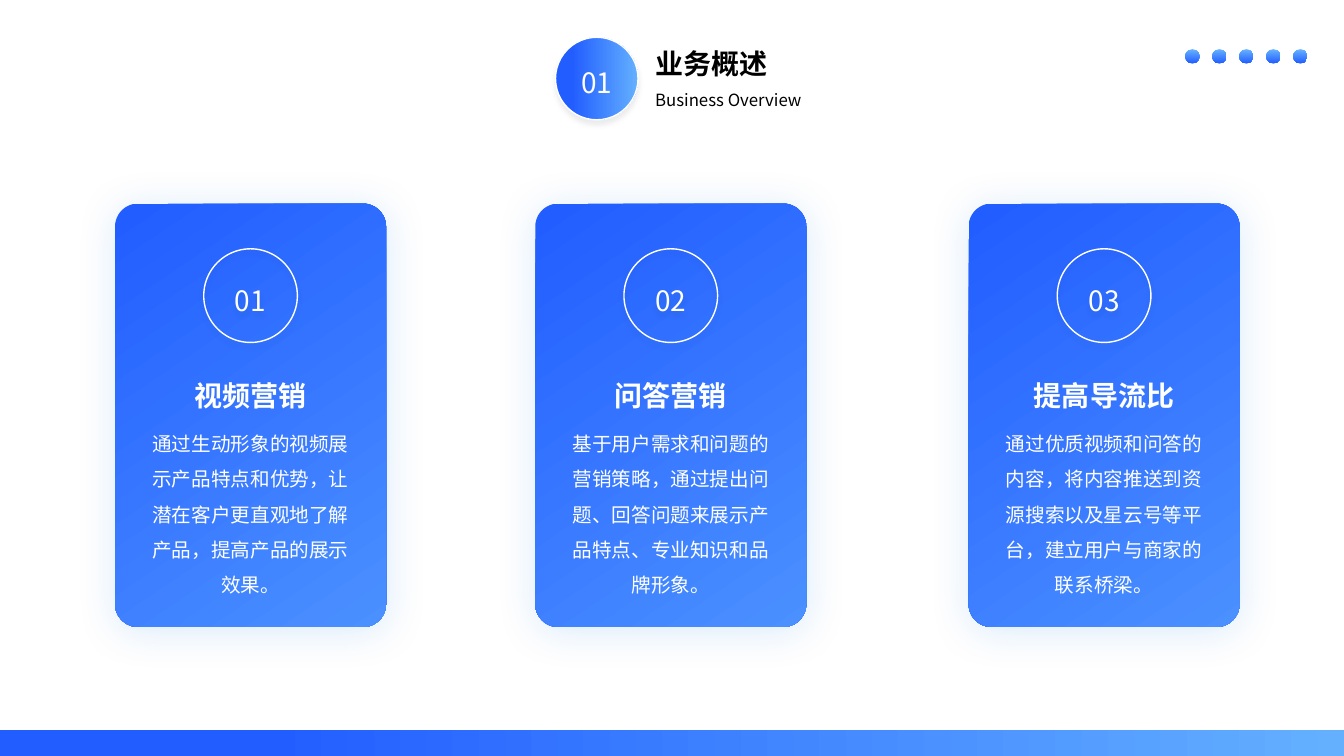
from lxml.etree import SubElement
from pptx import Presentation
from pptx.dml.color import RGBColor
from pptx.enum.shapes import MSO_SHAPE
from pptx.enum.text import MSO_ANCHOR, PP_ALIGN
from pptx.oxml.ns import qn
from pptx.util import Cm, Pt

ROYAL_BLUE = RGBColor(0x22, 0x5E, 0xFF)
SKY_BLUE = RGBColor(0x64, 0xB0, 0xFF)
CARD_BLUE = RGBColor(0x4B, 0x90, 0xFF)
DOT_BLUE = RGBColor(0x67, 0xB3, 0xFF)
GLOW_BLUE = RGBColor(0x00, 0x7C, 0xE2)
WHITE = RGBColor(0xFF, 0xFF, 0xFF)
BLACK = RGBColor(0x00, 0x00, 0x00)

TEXT_FONT = "Noto Sans CJK SC"
NUMBER_FONT = "Noto Sans CJK JP"

SLIDE_WIDTH = 33.87
SLIDE_HEIGHT = 19.05
CARD_WIDTH = 6.83
CARD_TEXT_WIDTH = 5.28
CARD_CIRCLE_SIZE = 2.36

CARDS = [
    (2.9, "01", "视频营销",
     "通过生动形象的视频展示产品特点和优势，让潜在客户更直观地了解产品，提高产品的展示效果。"),
    (13.49, "02", "问答营销",
     "基于用户需求和问题的营销策略，通过提出问题、回答问题来展示产品特点、专业知识和品牌形象。"),
    (24.41, "03", "提高导流比",
     "通过优质视频和问答的内容，将内容推送到资源搜索以及星云号等平台，建立用户与商家的联系桥梁。"),
]


def write_text(text_frame, text, size, color, font=TEXT_FONT, bold=False,
               align=PP_ALIGN.LEFT, spacing=1.0):
    text_frame.word_wrap = True
    paragraph = text_frame.paragraphs[0]
    paragraph.text = text
    paragraph.alignment = align
    paragraph.line_spacing = spacing
    paragraph.font.name = font
    paragraph.font.size = Pt(size)
    paragraph.font.bold = bold
    paragraph.font.color.rgb = color
    properties = paragraph._p.pPr.find(qn("a:defRPr"))
    SubElement(properties, qn("a:ea"), typeface=font)


def add_text(slide, left, top, width, height, text, size, color, margin=None, **style):
    text_frame = slide.shapes.add_textbox(
        Cm(left), Cm(top), Cm(width), Cm(height)).text_frame
    if margin is not None:
        text_frame.margin_left = text_frame.margin_right = Cm(margin)
        text_frame.margin_top = text_frame.margin_bottom = Cm(margin)
    write_text(text_frame, text, size, color, **style)


def add_plain_shape(slide, kind, left, top, width, height):
    shape = slide.shapes.add_shape(kind, Cm(left), Cm(top), Cm(width), Cm(height))
    shape.shadow.inherit = False
    shape.fill.background()
    shape.line.fill.background()
    return shape


def fill_gradient(shape, first, last, start=0.0, angle=0):
    shape.fill.gradient()
    shape.fill.gradient_angle = (360 - angle) % 360
    for stop, color, position in zip(
            shape.fill.gradient_stops, (first, last), (start, 1.0)):
        stop.color.rgb = color
        stop.position = position


def add_shadow(shape, color, opacity, blur):
    effects = shape._element.spPr.find(qn("a:effectLst"))
    shadow = SubElement(effects, qn("a:outerShdw"), blurRad=str(Pt(blur)),
                        dist=str(Pt(3)), dir="5400000", algn="t", rotWithShape="0")
    shadow_color = SubElement(shadow, qn("a:srgbClr"), val=str(color))
    SubElement(shadow_color, qn("a:alpha"), val=str(opacity * 1000))


def add_number_circle(slide, left, top, size, number, spacing):
    circle = add_plain_shape(slide, MSO_SHAPE.ROUNDED_RECTANGLE, left, top, size, size)
    circle.adjustments[0] = 0.5
    circle.line.color.rgb = WHITE
    circle.line.width = Pt(1)
    add_shadow(circle, BLACK, 7, 4)
    circle.text_frame.vertical_anchor = MSO_ANCHOR.MIDDLE
    write_text(circle.text_frame, number, 20, WHITE, font=NUMBER_FONT,
               align=PP_ALIGN.CENTER, spacing=spacing)
    return circle


def add_header(slide):
    add_text(slide, 16.26, 1.04, 5.18, 1.12, "业务概述", 20, BLACK, bold=True)
    add_text(slide, 16.26, 2.13, 5.54, 0.76, "Business Overview", 12, BLACK)
    badge = add_number_circle(slide, 14.0, 0.94, 2.08, "01", 1.2)
    fill_gradient(badge, ROYAL_BLUE, SKY_BLUE, start=0.2)


def add_dots(slide):
    for index in range(5):
        dot = add_plain_shape(slide, MSO_SHAPE.OVAL,
                              29.87 + index * 0.68, 1.24, 0.36, 0.36)
        fill_gradient(dot, DOT_BLUE, ROYAL_BLUE, angle=90)


def add_bottom_bar(slide):
    height = 0.66
    bar = add_plain_shape(slide, MSO_SHAPE.RECTANGLE,
                          0, SLIDE_HEIGHT - height, SLIDE_WIDTH, height)
    fill_gradient(bar, ROYAL_BLUE, SKY_BLUE, start=0.2)


def add_card(slide, left, number, title, description):
    card = add_plain_shape(slide, MSO_SHAPE.ROUNDED_RECTANGLE,
                           left, 5.13, CARD_WIDTH, 10.67)
    card.adjustments[0] = 0.085
    fill_gradient(card, ROYAL_BLUE, CARD_BLUE, start=0.02, angle=56)
    add_shadow(card, GLOW_BLUE, 15, 30)
    text_left = left + (CARD_WIDTH - CARD_TEXT_WIDTH) / 2
    add_text(slide, text_left, 9.53, CARD_TEXT_WIDTH, 0.86, title, 20, WHITE,
             margin=0, bold=True, align=PP_ALIGN.CENTER)
    add_text(slide, text_left, 10.59, CARD_TEXT_WIDTH, 4.4, description, 14, WHITE,
             margin=0, align=PP_ALIGN.CENTER, spacing=1.5)
    circle_left = left + (CARD_WIDTH - CARD_CIRCLE_SIZE) / 2
    add_number_circle(slide, circle_left, 6.27, CARD_CIRCLE_SIZE, number, 1.3)


def main():
    presentation = Presentation()
    presentation.slide_width = Cm(SLIDE_WIDTH)
    presentation.slide_height = Cm(SLIDE_HEIGHT)
    slide = presentation.slides.add_slide(presentation.slide_layouts[6])
    add_header(slide)
    add_dots(slide)
    add_bottom_bar(slide)
    for card in CARDS:
        add_card(slide, *card)
    presentation.save("out.pptx")


if __name__ == "__main__":
    main()
